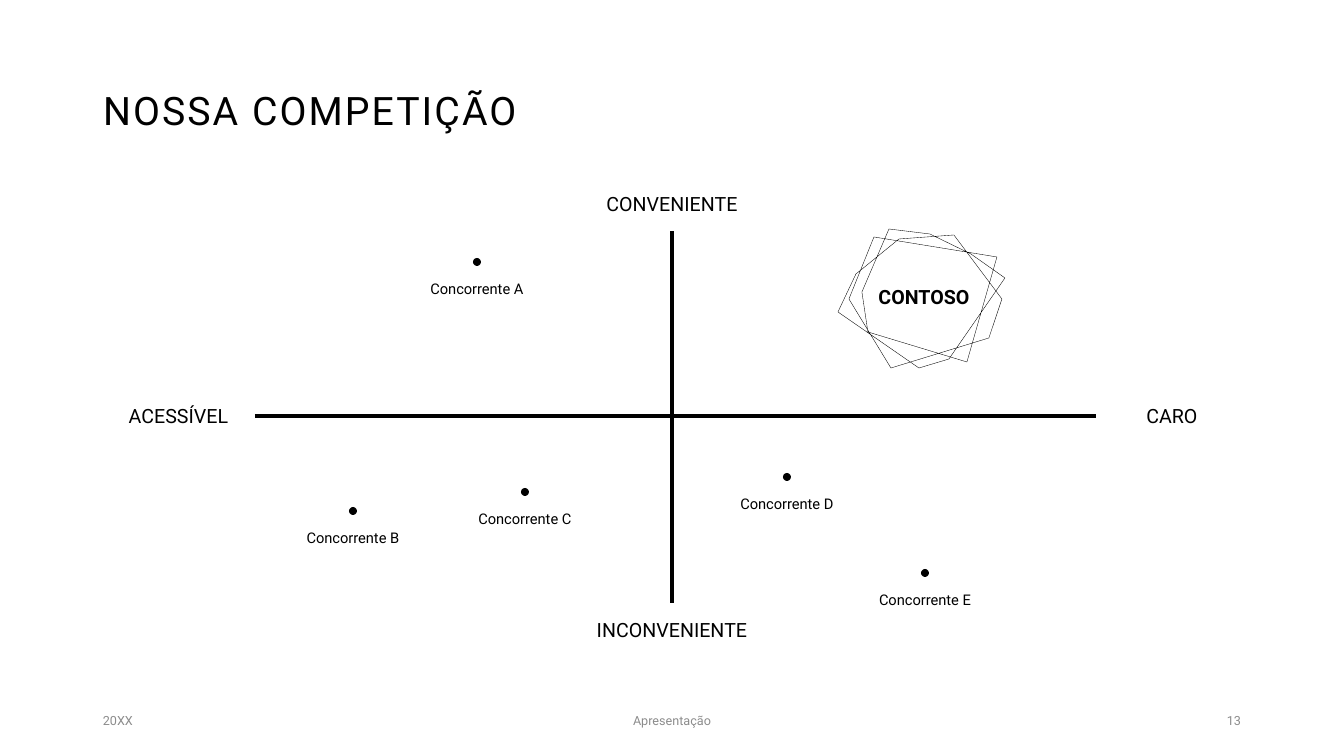
"""Build the competition slide: a price and convenience map with five competitors."""
from lxml.etree import SubElement
from pptx import Presentation
from pptx.dml.color import RGBColor
from pptx.enum.shapes import MSO_CONNECTOR, MSO_SHAPE
from pptx.enum.text import MSO_ANCHOR, PP_ALIGN
from pptx.oxml.ns import qn
from pptx.util import Emu, Pt

SCALE = 914400 / 100.8
BLACK, GRAY = "000000", "8C8C8C"


def px(*lengths):
    return [Emu(round(n * SCALE)) for n in lengths]


def write(sp, text, size, color=BLACK, align=PP_ALIGN.CENTER, bold=False):
    tf = sp.text_frame
    tf.word_wrap = True
    tf.vertical_anchor = MSO_ANCHOR.MIDDLE
    tf.text = text
    p = tf.paragraphs[0]
    p.alignment = align
    font = p.runs[0].font
    font.name, font.size, font.bold = "Roboto", Pt(size), bold
    font.color.rgb = RGBColor.from_string(color)
    return p


prs = Presentation()
prs.slide_width, prs.slide_height = px(1344, 756)
slide = prs.slides.add_slide(prs.slide_layouts[5])
shapes = slide.shapes

title = shapes.title
title.left, title.top, title.width, title.height = px(93, 40, 1159, 146)
p = write(title, "NOSSA COMPETIÇÃO", 28, align=PP_ALIGN.LEFT)
p.line_spacing = 0.9
p.runs[0].font._element.set("spc", "150")

axis_labels = {}
for text, left, top, width in [
    ("CONVENIENTE", 578, 177, 188),
    ("INCONVENIENTE", 578, 603, 188),
    ("ACESSÍVEL", 102, 389, 153),
    ("CARO", 1096, 389, 152),
]:
    axis_labels[text] = shapes.add_textbox(*px(left, top, width, 54))
    write(axis_labels[text], text, 14)

for start, start_side, end, end_side in [
    ("ACESSÍVEL", 3, "CARO", 1),
    ("INCONVENIENTE", 0, "CONVENIENTE", 2),
]:
    axis = shapes.add_connector(MSO_CONNECTOR.STRAIGHT, 0, 0, 0, 0)
    axis.begin_connect(axis_labels[start], start_side)
    axis.end_connect(axis_labels[end], end_side)
    axis.line.color.rgb = RGBColor.from_string(BLACK)
    axis.line.width = Pt(3.5)
    SubElement(axis._element.spPr, qn("a:effectLst"))

for letter, x, y in [
    ("A", 477, 262),
    ("B", 353, 511),
    ("C", 525, 492),
    ("D", 787, 477),
    ("E", 925, 573),
]:
    label = shapes.add_textbox(*px(x - 65, y, 130, 54))
    write(label, f"Concorrente {letter}", 10.5)
    dot = shapes.add_shape(MSO_SHAPE.OVAL, *px(x - 4, y - 4, 8, 8))
    dot.shadow.inherit = False
    dot.fill.solid()
    dot.fill.fore_color.rgb = RGBColor.from_string(BLACK)
    dot.line.fill.background()

outline = [
    (899, 239), (861, 270), (856, 274), (838, 312), (919, 368), (949, 359), (976, 320),
    (1005, 278), (971, 254), (930, 234), (889, 229), (862, 292), (868, 332), (967, 362),
    (997, 257), (874, 237), (849, 299), (891, 368), (989, 338), (1002, 299), (954, 235),
]
builder = shapes.build_freeform(*outline[0], scale=SCALE)
builder.add_line_segments(outline[1:], close=True)
frame = builder.convert_to_shape()
frame.shadow.inherit = False
frame.fill.background()
frame.line.color.rgb = RGBColor.from_string(BLACK)
frame.line.width = Pt(0.25)
write(shapes.add_textbox(*px(830, 239, 188, 116)), "CONTOSO", 14, bold=True)

for text, left, width, align in [
    ("20XX", 93, 302, PP_ALIGN.LEFT),
    ("Apresentação", 445, 454, PP_ALIGN.CENTER),
    ("13", 949, 302, PP_ALIGN.RIGHT),
]:
    write(shapes.add_textbox(*px(left, 701, width, 40)), text, 9, GRAY, align)

prs.save("out.pptx")
